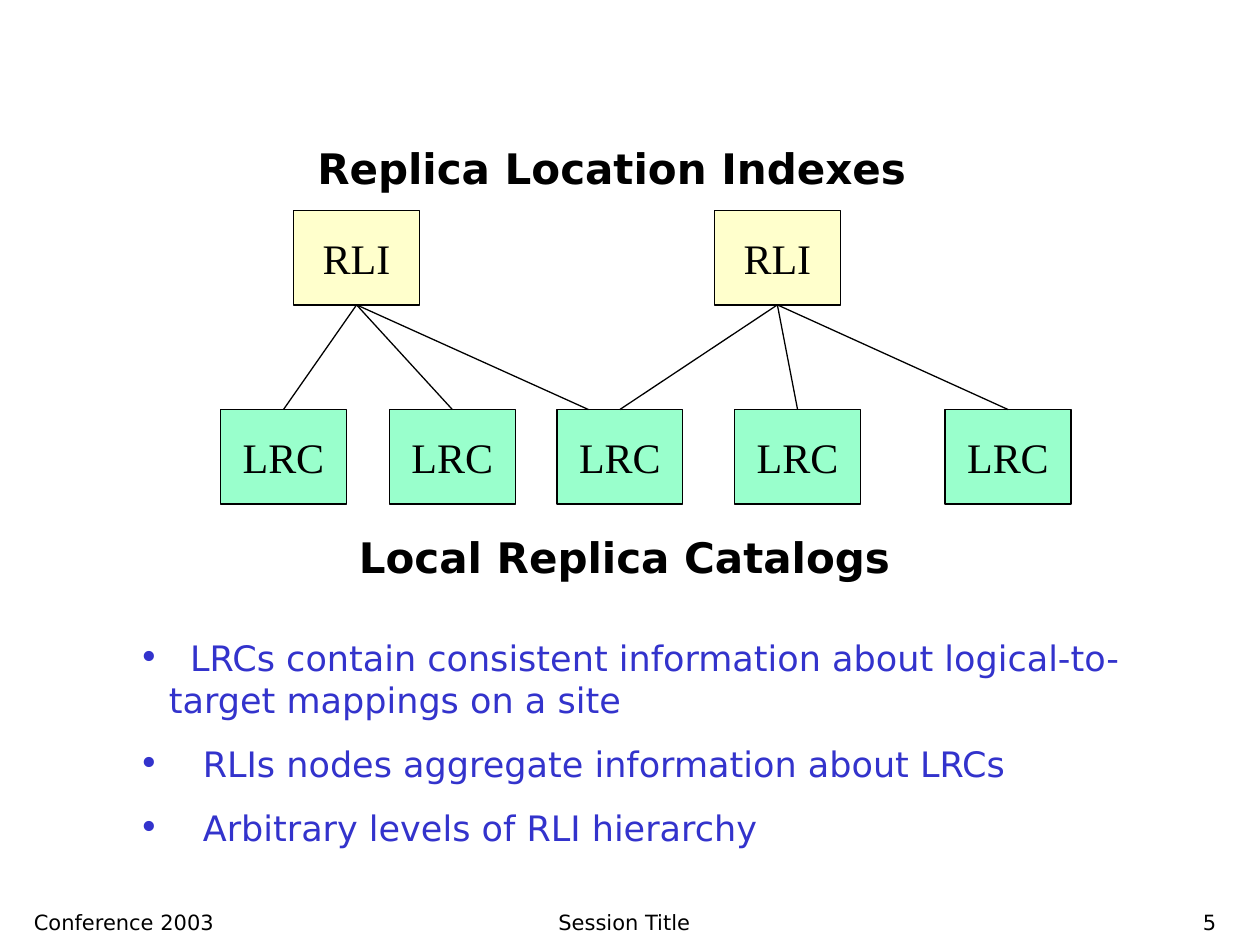
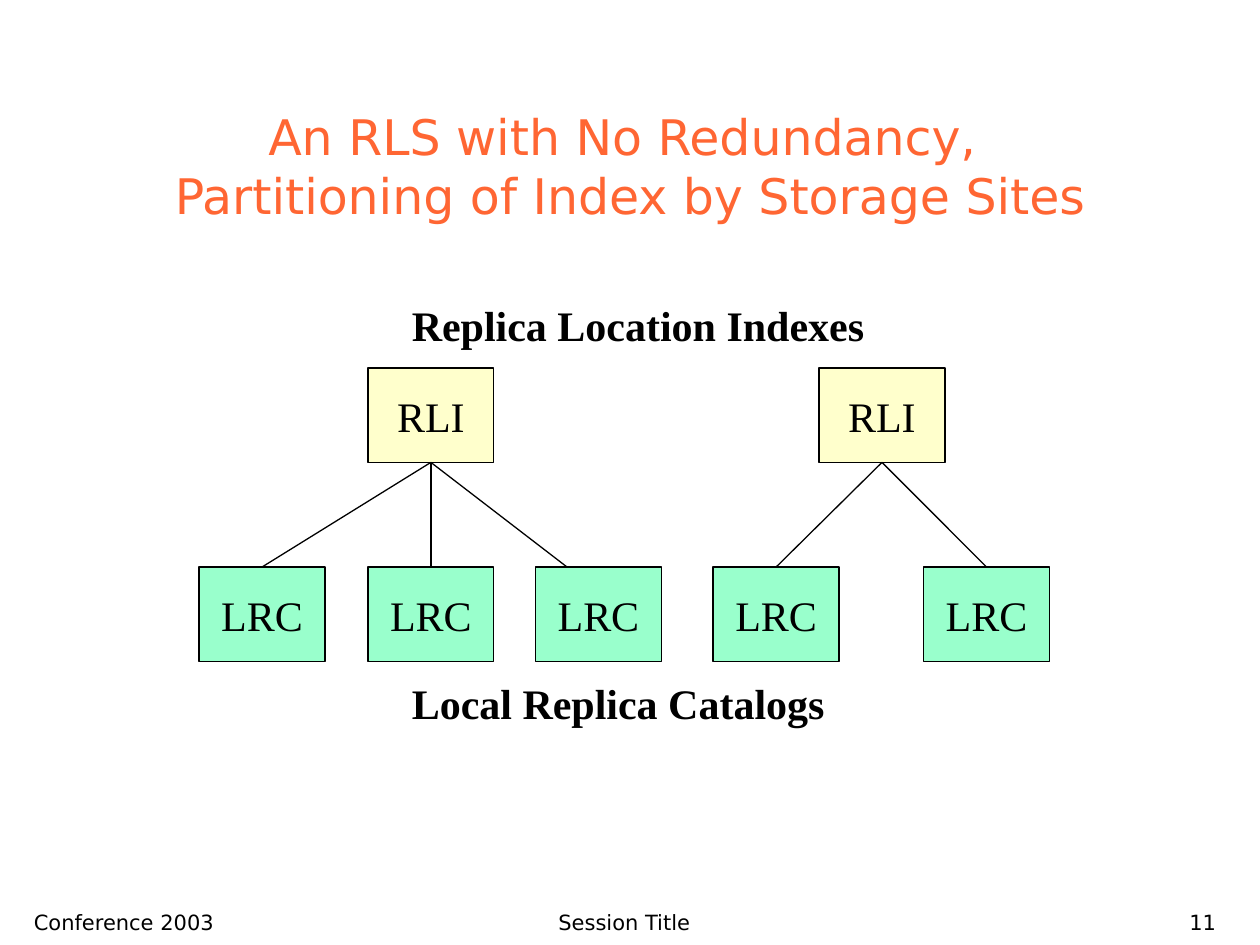
from lxml import etree
from pptx import Presentation
from pptx.dml.color import RGBColor
from pptx.enum.shapes import MSO_CONNECTOR, MSO_SHAPE
from pptx.enum.text import MSO_ANCHOR, MSO_AUTO_SIZE, PP_ALIGN
from pptx.oxml.ns import qn
from pptx.util import Inches, Pt

LEFT, CENTER, RIGHT = PP_ALIGN.LEFT, PP_ALIGN.CENTER, PP_ALIGN.RIGHT
TOP, MIDDLE, BOTTOM = MSO_ANCHOR.TOP, MSO_ANCHOR.MIDDLE, MSO_ANCHOR.BOTTOM
NO_AUTOFIT = MSO_AUTO_SIZE.NONE
RECTANGLE, STRAIGHT = MSO_SHAPE.RECTANGLE, MSO_CONNECTOR.STRAIGHT

SANS, SERIF = "DejaVu Sans", "Times New Roman"
BLACK, ORANGE, BLUE = "000000", "FF6633", "3333CC"
YELLOW, GREEN = "FFFFCC", "99FFCC"

TITLE_ONLY, TITLE_AND_BODY = 5, 1
BOX_WIDTH, BOX_HEIGHT = 1, 0.75
CATALOG_OFFSETS = [0, 1.34, 2.67, 4.08, 5.75]
CATALOG_DROP = 1.58
HANGING = 0.24
WIDE_HANGING = 0.51
FIRST_LINE_GAP = 0.17


def color(value):
    """Turn a hex string into a colour."""
    return RGBColor.from_string(value)


def write_text(shape, text, size=24, font=SANS, fill=BLACK, bold=False,
               align=LEFT, anchor=TOP, before=0, wrap=True):
    """Write each line of text as a formatted paragraph."""
    frame = shape.text_frame
    frame.word_wrap = wrap
    frame.auto_size = NO_AUTOFIT
    frame.vertical_anchor = anchor
    for number, line in enumerate(text.split("\n")):
        paragraph = frame.add_paragraph() if number else frame.paragraphs[0]
        paragraph.alignment = align
        paragraph.space_before = Pt(before)
        run = paragraph.add_run()
        run.text = line
        run.font.size = Pt(size)
        run.font.name = font
        run.font.bold = bold
        run.font.color.rgb = color(fill)


def add_bullet(paragraph, fill, margin, tab_stops):
    """Give a paragraph a hanging bullet and tab stops."""
    properties = paragraph._p.get_or_add_pPr()
    properties.set("marL", str(Inches(margin)))
    properties.set("indent", str(-Inches(margin)))
    bullet_color = etree.SubElement(properties, qn("a:buClr"))
    etree.SubElement(bullet_color, qn("a:srgbClr"), val=fill)
    etree.SubElement(properties, qn("a:buFont"), typeface=SANS)
    etree.SubElement(properties, qn("a:buChar"), char="•")
    if tab_stops:
        tab_list = etree.SubElement(properties, qn("a:tabLst"))
        for stop in tab_stops:
            etree.SubElement(tab_list, qn("a:tab"), pos=str(Inches(stop)), algn="l")


class Deck:
    """Holds the shared style and the current slide."""

    def __init__(self):
        """Start an empty presentation."""
        self.presentation = Presentation()
        self.presentation.slide_width = Inches(10)
        self.presentation.slide_height = Inches(7.5)
        self.slide = None

    def new_slide(self, layout, number):
        """Add a slide with its footers."""
        layouts = self.presentation.slide_layouts
        self.slide = self.presentation.slides.add_slide(layouts[layout])
        footers = [("Conference 2003", 0.17, 2.08, LEFT),
                   ("Session Title", 2.33, 5.25, CENTER),
                   (str(number), 7.67, 2.08, RIGHT)]
        for text, left, width, align in footers:
            self.text(text, left, 7.17, width, 0.33, size=12, align=align)

    def place(self, shape, left, top, width, height):
        """Move and size a shape."""
        shape.left, shape.top = Inches(left), Inches(top)
        shape.width, shape.height = Inches(width), Inches(height)

    def text(self, text, left, top, width, height, **style):
        """Add a text box."""
        shape = self.slide.shapes.add_textbox(
            Inches(left), Inches(top), Inches(width), Inches(height))
        write_text(shape, text, **style)

    def title(self, text):
        """Fill the title placeholder, or remove it if there is no text."""
        shape = self.slide.shapes.title
        if not text:
            shape.element.getparent().remove(shape.element)
            return
        self.place(shape, 0.75, 1, 8.5, 0.83)
        write_text(shape, text, size=28, fill=ORANGE, align=CENTER, anchor=BOTTOM)

    def bullets(self, items, left, top, width, height):
        """Fill the body placeholder with bulleted lines."""
        shape = self.slide.placeholders[1]
        self.place(shape, left, top, width, height)
        lines = "\n".join(text for text, margin, stops in items)
        write_text(shape, lines, size=20, fill=BLUE, before=12.5)
        for paragraph, (text, margin, stops) in zip(shape.text_frame.paragraphs, items):
            add_bullet(paragraph, BLUE, margin, stops)

    def box(self, text, left, top, fill):
        """Add a labelled node."""
        shape = self.slide.shapes.add_shape(
            RECTANGLE, Inches(left), Inches(top), Inches(BOX_WIDTH), Inches(BOX_HEIGHT))
        shape.shadow.inherit = False
        shape.fill.solid()
        shape.fill.fore_color.rgb = color(fill)
        shape.line.color.rgb = color(BLACK)
        shape.line.width = Pt(0.75)
        write_text(shape, text, font=SERIF, align=CENTER, anchor=MIDDLE, wrap=False)
        return shape

    def link(self, catalog, index, offset=None):
        """Join a catalog's top, at its middle or an offset, to an index."""
        start = catalog.left + Inches(offset or BOX_WIDTH / 2)
        line = self.slide.shapes.add_connector(
            STRAIGHT, start, catalog.top,
            index.left + index.width // 2, index.top + index.height)
        if offset is None:
            line.begin_connect(catalog, 0)
        line.end_connect(index, 2)
        line.line.color.rgb = color(BLACK)
        line.line.width = Pt(0.75)
        etree.SubElement(line._element.spPr, qn("a:effectLst"))

    def hierarchy(self, index_lefts, catalog_left, top, links):
        """Draw indexes over catalogs with the links between them."""
        indexes = [self.box("RLI", left, top, YELLOW) for left in index_lefts]
        catalogs = [self.box("LRC", catalog_left + offset, top + CATALOG_DROP, GREEN)
                    for offset in CATALOG_OFFSETS]
        for catalog, index, offset in links:
            self.link(catalogs[catalog], indexes[index], offset)

    def captions(self, font, indexes_at, catalogs_at):
        """Name the two rows of the hierarchy."""
        style = {"font": font, "bold": True, "before": 15}
        self.text("Replica Location Indexes", *indexes_at, 5.17, 0.5, **style)
        self.text("Local Replica Catalogs", *catalogs_at, 4.5, 0.5, **style)


def main():
    """Build and save the two slides."""
    deck = Deck()

    deck.new_slide(TITLE_AND_BODY, 5)
    deck.title("")
    deck.hierarchy([2.33, 5.67], 1.75, 1.67,
                   [(0, 0, None), (1, 0, None), (2, 0, 0.25),
                    (2, 1, None), (3, 1, None), (4, 1, None)])
    deck.captions(SANS, (2.42, 1.08), (2.75, 4.17))
    deck.bullets([
        ("\tLRCs contain consistent information about logical-to-target mappings on a site",
         HANGING, [FIRST_LINE_GAP, HANGING + FIRST_LINE_GAP]),
        ("RLIs nodes aggregate information about LRCs", WIDE_HANGING, []),
        ("Arbitrary levels of RLI hierarchy", WIDE_HANGING, []),
    ], 1, 5, 8.42, 1.78)

    deck.new_slide(TITLE_ONLY, 11)
    deck.title("An RLS with No Redundancy, \nPartitioning of Index by Storage Sites")
    deck.hierarchy([2.92, 6.5], 1.58, 2.92,
                   [(0, 0, None), (1, 0, None), (2, 0, 0.25),
                    (3, 1, None), (4, 1, None)])
    deck.captions(SERIF, (3.17, 2.33), (3.17, 5.33))

    deck.presentation.save("out.pptx")


if __name__ == "__main__":
    main()
